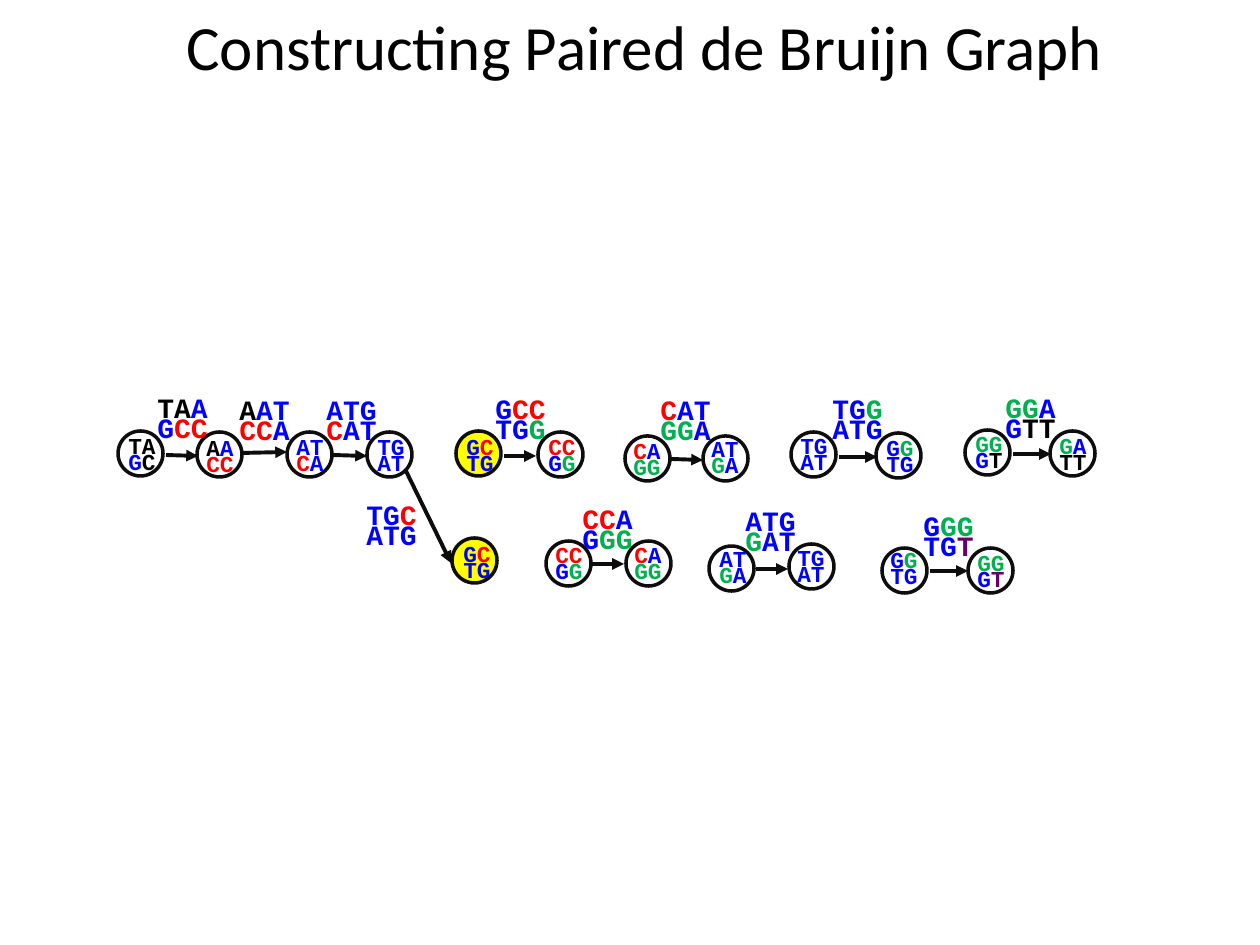
"""Build the slide that constructs a paired de Bruijn graph from its edges."""
from dataclasses import dataclass, field
from itertools import groupby

from lxml import etree
from pptx import Presentation
from pptx.dml.color import RGBColor
from pptx.enum.shapes import MSO_CONNECTOR, MSO_SHAPE
from pptx.enum.text import MSO_ANCHOR, MSO_AUTO_SIZE, PP_ALIGN
from pptx.oxml.ns import qn
from pptx.util import Pt

STRAIGHT = MSO_CONNECTOR.STRAIGHT
OVAL = MSO_SHAPE.OVAL
TOP = MSO_ANCHOR.TOP
CENTER = PP_ALIGN.CENTER
FIT_SHAPE = MSO_AUTO_SIZE.SHAPE_TO_FIT_TEXT
NO_FIT = MSO_AUTO_SIZE.NONE

EMU_PER_PX = 914400 / 126
SLIDE_SIZE = (1260, 945)
TITLE_BOX = (9, 1, 1271, 89)
CIRCLE_SIZE = 45
NODE_TEXT_SIZE = (53, 45)
EDGE_TEXT_SIZE = (77, 53)
LINE_SPACING = 0.6


@dataclass(frozen=True)
class Theme:
    """Colours, fonts and type sizes of the slide."""

    ink: str = "000000"
    outline: str = "0D0D0D"
    highlight: str = "FFFF00"
    title_font: str = "Calibri"
    code_font: str = "Courier New"
    title_size: float = 36
    node_size: float = 13
    edge_size: float = 16
    circle_line: float = 2
    arrow_line: float = 2.25
    letters: dict = field(default_factory=lambda: {
        "k": "000000", "b": "0000FF", "r": "FF0000", "g": "00B050", "p": "660066",
    })


@dataclass(frozen=True)
class Node:
    """A circled pair of 2-mers; letters and colour keys are split by a slash."""

    circle: tuple[int, int]
    text: tuple[int, int]
    letters: str
    colours: str
    marked: bool = False


@dataclass(frozen=True)
class Edge:
    """An arrow with its pair of 3-mers."""

    start: tuple[int, int]
    end: tuple[int, int]
    text: tuple[int, int]
    letters: str
    colours: str


@dataclass(frozen=True)
class Piece:
    """An edge together with the nodes that are drawn with it."""

    edge: Edge
    nodes: tuple[Node, ...] = ()


THEME = Theme()

PIECES = (
    Piece(Edge((166, 455), (198, 456), (145, 396), "TAA/GCC", "kkb/brr"),
          (Node((118, 431), (116, 435), "TA/GC", "kk/bk"),
           Node((197, 432), (194, 437), "AA/CC", "kb/rr"))),
    Piece(Edge((333, 455), (367, 456), (314, 398), "ATG/CAT", "bbb/rbb"),
          (Node((287, 432), (284, 436), "AT/CA", "bb/rb"),
           Node((367, 432), (365, 436), "TG/AT", "bb/bb"))),
    Piece(Edge((406, 471), (451, 563), (354, 503), "TGC/ATG", "bbr/bbb"),
          (Node((452, 538), (451, 543), "GC/TG", "br/bb", True),)),
    Piece(Edge((504, 456), (536, 456), (483, 397), "GCC/TGG", "brr/bbg"),
          (Node((456, 431), (454, 436), "GC/TG", "br/bb", True),
           Node((538, 432), (536, 436), "CC/GG", "rr/bg"))),
    Piece(Edge((592, 564), (624, 564), (570, 507), "CCA/GGG", "rrb/bgg"),
          (Node((546, 541), (543, 544), "CC/GG", "rr/bg"),
           Node((626, 541), (622, 544), "CA/GG", "rb/gg"))),
    Piece(Edge((671, 459), (703, 460), (648, 398), "CAT/GGA", "rbb/ggb"),
          (Node((625, 436), (621, 440), "CA/GG", "rb/gg"),
           Node((703, 436), (699, 438), "AT/GA", "bb/gb"))),
    Piece(Edge((756, 569), (788, 569), (733, 509), "ATG/GAT", "bbb/gbb"),
          (Node((709, 546), (707, 548), "AT/GA", "bb/gb"),
           Node((789, 544), (785, 547), "TG/AT", "bb/bb"))),
    Piece(Edge((839, 457), (877, 457), (820, 397), "TGG/ATG", "bbg/bbb"),
          (Node((791, 432), (788, 435), "TG/AT", "bb/bb"),
           Node((876, 433), (874, 437), "GG/TG", "bg/bb"))),
    Piece(Edge((930, 571), (968, 571), (911, 514), "GGG/TGT", "bgg/bbp"),
          (Node((882, 548), (878, 549), "GG/TG", "bg/bb"),
           Node((968, 548), (965, 552), "GG/GT", "gg/bp"))),
    Piece(Edge((1013, 454), (1051, 454), (993, 396), "GGA/GTT", "ggb/bkk"),
          (Node((965, 430), (963, 433), "GG/GT", "gg/bk"),
           Node((1050, 431), (1047, 435), "GA/TT", "gb/kk"))),
    Piece(Edge((242, 453), (287, 452), (227, 398), "AAT/CCA", "kbb/rrb")),
)


def px(*lengths: int) -> list[int]:
    """Turn pixel lengths into EMU."""
    return [round(length * EMU_PER_PX) for length in lengths]


def apply(target, values: dict) -> None:
    """Set each named attribute on the target."""
    for name, value in values.items():
        setattr(target, name, value)


def format_font(font, name: str, size: float, colour: str, bold: bool) -> None:
    """Give a font its face, size, weight and colour."""
    apply(font, {"name": name, "size": Pt(size), "bold": bold})
    font.color.rgb = RGBColor.from_string(colour)


def add_letters(shapes, place: tuple[int, int], extent: tuple[int, int],
                item: Node | Edge, size: float) -> None:
    """Write two tight lines of letters, one run per stretch of colour."""
    frame = shapes.add_textbox(*px(*place, *extent)).text_frame
    apply(frame, {"word_wrap": False, "auto_size": FIT_SHAPE})
    rows = zip(item.letters.split("/"), item.colours.split("/"))
    for index, (letters, colours) in enumerate(rows):
        para = frame.add_paragraph() if index else frame.paragraphs[0]
        para.line_spacing = LINE_SPACING
        for key, pairs in groupby(zip(letters, colours), key=lambda pair: pair[1]):
            span = para.add_run()
            span.text = "".join(letter for letter, _ in pairs)
            format_font(span.font, THEME.code_font, size, THEME.letters[key], True)


def add_node(shapes, node: Node) -> None:
    """Draw a circle and its pair of 2-mers."""
    circle = shapes.add_shape(OVAL, *px(*node.circle, CIRCLE_SIZE, CIRCLE_SIZE))
    circle.shadow.inherit = False
    if node.marked:
        circle.fill.solid()
        circle.fill.fore_color.rgb = RGBColor.from_string(THEME.highlight)
    else:
        circle.fill.background()
    circle.line.color.rgb = RGBColor.from_string(THEME.outline)
    circle.line.width = Pt(THEME.circle_line)
    add_letters(shapes, node.text, NODE_TEXT_SIZE, node, THEME.node_size)


def add_edge(shapes, edge: Edge) -> None:
    """Draw an arrow and its pair of 3-mers."""
    arrow = shapes.add_connector(STRAIGHT, *px(*edge.start, *edge.end))
    arrow.line.color.rgb = RGBColor.from_string(THEME.outline)
    arrow.line.width = Pt(THEME.arrow_line)
    etree.SubElement(arrow.line._get_or_add_ln(), qn("a:tailEnd"), type="triangle")
    etree.SubElement(arrow._element.spPr, qn("a:effectLst"))
    add_letters(shapes, edge.text, EDGE_TEXT_SIZE, edge, THEME.edge_size)


def add_title(page, text: str) -> None:
    """Fill and place the title placeholder."""
    title = page.shapes.title
    apply(title, dict(zip(("left", "top", "width", "height"), px(*TITLE_BOX))))
    frame = title.text_frame
    frame.text = text
    apply(frame, {"word_wrap": True, "auto_size": NO_FIT, "vertical_anchor": TOP})
    para = frame.paragraphs[0]
    para.alignment = CENTER
    format_font(para.runs[0].font, THEME.title_font, THEME.title_size, THEME.ink, False)


def main() -> None:
    """Build and save the deck."""
    deck = Presentation()
    apply(deck, dict(zip(("slide_width", "slide_height"), px(*SLIDE_SIZE))))
    page = deck.slides.add_slide(deck.slide_layouts[5])
    add_title(page, "Constructing Paired de Bruijn Graph")
    for piece in PIECES:
        shapes = page.shapes.add_group_shape().shapes if piece.nodes else page.shapes
        for node in piece.nodes:
            add_node(shapes, node)
        add_edge(shapes, piece.edge)
    deck.save("out.pptx")


if __name__ == "__main__":
    main()
